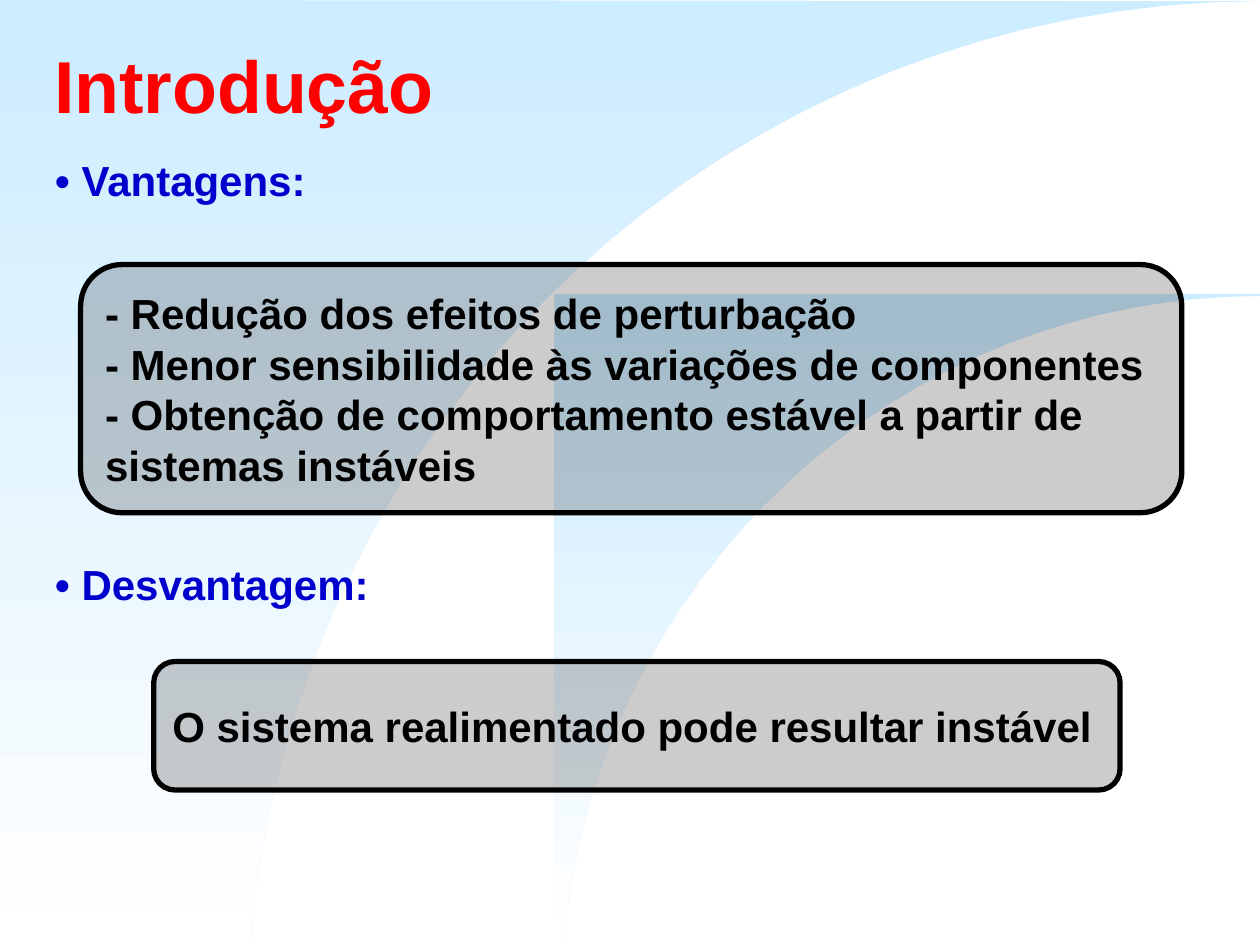
import math

from pptx import Presentation
from pptx.dml.color import RGBColor
from pptx.enum import shapes, text
from pptx.oxml.ns import qn
from pptx.util import Inches, Pt
from lxml import etree

HUES = {"sky": "CCECFF", "white": "FFFFFF", "title": "FF0000",
        "head": "0000CC", "ink": "000000"}


def hue(name):
    return RGBColor.from_string(HUES[name])


def write(frame, lines, size=24, color="ink", wrap=True, hang=0, before=0,
          anchor=text.MSO_ANCHOR.MIDDLE):
    frame.word_wrap = wrap
    frame.vertical_anchor = anchor
    for i, line in enumerate(lines):
        para = frame.paragraphs[0] if i == 0 else frame.add_paragraph()
        para.alignment = text.PP_ALIGN.LEFT
        para.space_before = Pt(before)
        if hang:
            props = para._p.get_or_add_pPr()
            props.set("marL", str(Inches(hang)))
            props.set("indent", str(-Inches(hang)))
        run = para.add_run()
        run.text = line
        run.font.name = "Arial"
        run.font.size = Pt(size)
        run.font.bold = True
        run.font.color.rgb = hue(color)


deck = Presentation()
deck.slide_width, deck.slide_height = Inches(10), Inches(7.5)
slide = deck.slides.add_slide(deck.slide_layouts[5])
items = slide.shapes

# Sky panels, each cut by an elliptical arc centred on the right edge
# left, top, start of the arc, centre height, radii
panels = [(0, 0, 0.01, 8.13, 8.04, 8.12),
          (4.4, 2.33, 2.35, 7.97, 5.55, 5.62)]
steps = 32
for left, top, peak, mid, wide, high in panels:
    first = math.asin((mid - 7.5) / high)
    turns = [first + (math.pi / 2 - first) * i / steps for i in range(steps + 1)]
    arc = [(10 - wide * math.cos(t), peak + high * (1 - math.sin(t))) for t in turns]
    points = [(left, 7.5), *arc, (10, top), (left, top)]
    # The outer panel's top edge falls slightly towards the right
    if top == 0:
        points.remove((10, top))
    path = items.build_freeform(Inches(points[0][0]), Inches(points[0][1]))
    path.add_line_segments([(Inches(x), Inches(y)) for x, y in points[1:]])
    panel = path.convert_to_shape()
    panel.shadow.inherit = False
    panel.line.fill.background()
    panel.fill.gradient()
    panel.fill.gradient_angle = 270
    for stop, name, place in zip(panel.fill.gradient_stops, ("sky", "white"), (0, 1)):
        stop.color.rgb = hue(name)
        stop.position = place

title = items.title
items._spTree.append(title._element)  # bring in front of the panels
title.left, title.top = Inches(0.33), Inches(0.25)
title.width, title.height = Inches(9.42), Inches(0.83)
write(title.text_frame, ["Introdução"], size=42, color="title")

heads = [("• Vantagens:", 1.18, 2.3), ("• Desvantagem:", 4.38, 2.93)]
for label, top, width in heads:
    box = items.add_textbox(Inches(0.34), Inches(top), Inches(width), Inches(0.52))
    write(box.text_frame, [label], color="head", hang=0.38, before=3,
          anchor=text.MSO_ANCHOR.TOP)

cards = [
    ((0.64, 2.1, 8.74, 1.97),
     ["- Redução dos efeitos de perturbação",
      "- Menor sensibilidade às variações de componentes",
      "- Obtenção de comportamento estável a partir de",
      "sistemas instáveis"]),
    ((1.22, 5.25, 7.67, 1.02),
     ["O sistema realimentado pode resultar instável"]),
]
for area, lines in cards:
    card = items.add_shape(shapes.MSO_SHAPE.ROUNDED_RECTANGLE, *map(Inches, area))
    card.shadow.inherit = False
    card.fill.solid()
    card.fill.fore_color.rgb = hue("ink")
    tint = card._element.spPr.find(qn("a:solidFill"))[0]
    etree.SubElement(tint, qn("a:alpha")).set("val", "20000")
    card.line.color.rgb = hue("ink")
    card.line.width = Pt(3)
    write(card.text_frame, lines, wrap=False)

deck.save("out.pptx")
